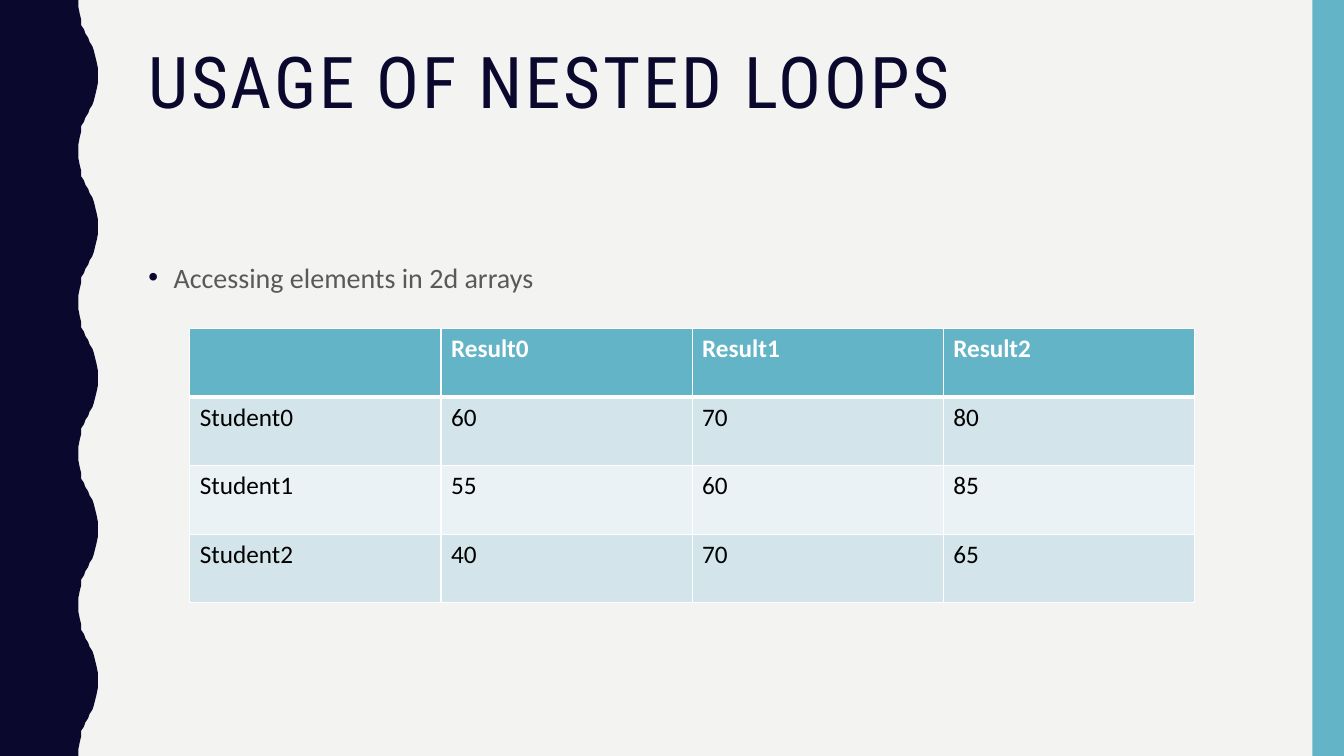
from dataclasses import dataclass
from lxml.etree import SubElement
from pptx import Presentation
from pptx.dml.color import RGBColor
from pptx.enum.shapes import MSO_SHAPE
from pptx.enum.text import MSO_ANCHOR
from pptx.oxml.ns import qn
from pptx.util import Pt

COLORS = {
    "background": "F3F3F2", "navy": "0B082E", "teal": "62B4C6",
    "band_dark": "D3E5EA", "band_light": "EAF2F5",
    "gray": "595959", "black": "000000", "white": "FFFFFF",
}
SLIDE_W, SLIDE_H = 960, 540
WAVE_PERIOD = 108
# Half of one wave, from trough to crest
HALF_WAVE = [
    (56.2, 0), (56.2, 5), (56.9, 10), (57.6, 14.4), (58.3, 18),
    (59.8, 20.9), (61.2, 24), (62.6, 27.2), (64.1, 30), (65.5, 33),
    (67, 36), (68.4, 39.6), (69.1, 44), (69.8, 49), (69.8, 54),
]
RESULTS = [
    ["", "Result0", "Result1", "Result2"],
    ["Student0", "60", "70", "80"],
    ["Student1", "55", "60", "85"],
    ["Student2", "40", "70", "65"],
]


@dataclass
class RowStyle:
    fill: str
    color: str = "black"
    bold: bool = False
    top: float = 1
    bottom: float = 1


ROW_STYLES = [
    RowStyle("teal", "white", bold=True, bottom=3),
    RowStyle("band_dark", top=3),
    RowStyle("band_light"),
    RowStyle("band_dark"),
]


def rgb(name: str) -> RGBColor:
    return RGBColor.from_string(COLORS[name])


def paint(shape, color: str) -> None:
    shape.shadow.inherit = False
    shape.fill.solid()
    shape.fill.fore_color.rgb = rgb(color)
    shape.line.fill.background()


def write(tf, text: str, *, size: float, color: str, font: str = "Calibri",
          bold: bool = False, line: float = 1, before: float = 0, spacing: float = 0):
    p = tf.paragraphs[0]
    p.line_spacing = line
    p.space_before = Pt(before)
    r = p.add_run()
    r.text = text
    r.font.name = font
    r.font.size = Pt(size)
    r.font.bold = bold
    r.font.color.rgb = rgb(color)
    if spacing:
        r.font._element.set("spc", str(int(spacing * 100)))
    return p


def add_text_frame(s, x: float, y: float, w: float, h: float):
    tf = s.shapes.add_textbox(Pt(x), Pt(y), Pt(w), Pt(h)).text_frame
    tf.word_wrap = True
    tf.vertical_anchor = MSO_ANCHOR.TOP
    return tf


def add_bullet(p, color: str, indent: float) -> None:
    pPr = p._p.get_or_add_pPr()
    pPr.set("marL", str(Pt(indent)))
    pPr.set("indent", str(-Pt(indent)))
    clr = SubElement(pPr, qn("a:buClr"))
    SubElement(clr, qn("a:srgbClr"), val=COLORS[color])
    SubElement(pPr, qn("a:buFont"), typeface="Arial")
    SubElement(pPr, qn("a:buChar"), char="•")


def style_cell(cell, style: RowStyle) -> None:
    tcPr = cell._tc.get_or_add_tcPr()
    widths = {"a:lnL": 1, "a:lnR": 1, "a:lnT": style.top, "a:lnB": style.bottom}
    for tag, width in widths.items():
        ln = SubElement(tcPr, qn(tag), w=str(Pt(width)))
        fill = SubElement(ln, qn("a:solidFill"))
        SubElement(fill, qn("a:srgbClr"), val=COLORS["white"])
    cell.fill.solid()
    cell.fill.fore_color.rgb = rgb(style.fill)


def add_wave(s) -> None:
    wave = HALF_WAVE + [(x, WAVE_PERIOD - y) for x, y in HALF_WAVE[-2::-1]]
    edge = [(x, y + top) for top in range(0, SLIDE_H, WAVE_PERIOD) for x, y in wave]
    builder = s.shapes.build_freeform(0, 0, scale=Pt(1))
    builder.add_line_segments(edge + [(0, SLIDE_H)], close=True)
    paint(builder.convert_to_shape(), "navy")


def add_results(s) -> None:
    table = s.shapes.add_table(len(RESULTS), len(RESULTS[0]), Pt(135.6), Pt(234.7),
                               Pt(717.6), Pt(196)).table
    for col in table.columns:
        col.width = Pt(179.4)
    for row, style, values in zip(table.rows, ROW_STYLES, RESULTS):
        row.height = Pt(49)
        for cell, value in zip(row.cells, values):
            style_cell(cell, style)
            if value:
                write(cell.text_frame, value, size=18, color=style.color, bold=style.bold)


def main() -> None:
    prs = Presentation()
    prs.slide_width, prs.slide_height = Pt(SLIDE_W), Pt(SLIDE_H)
    s = prs.slides.add_slide(prs.slide_layouts[6])
    s.background.fill.solid()
    s.background.fill.fore_color.rgb = rgb("background")

    # Side decoration
    add_wave(s)
    bar = s.shapes.add_shape(MSO_SHAPE.RECTANGLE, Pt(937.5), Pt(0), Pt(22.5), Pt(SLIDE_H))
    paint(bar, "teal")

    # Title and bullet
    title = add_text_frame(s, 98.9, 30, 801, 117)
    write(title, "USAGE OF NESTED LOOPS", size=51, color="navy",
          font="Roboto Condensed", line=0.9, spacing=2)
    body = add_text_frame(s, 98.9, 180, 801, 283)
    p = write(body, "Accessing elements in 2d arrays", size=20, color="gray",
              line=1.1, before=7)
    add_bullet(p, "navy", 18)

    # Results table
    add_results(s)
    prs.save("out.pptx")


if __name__ == "__main__":
    main()
